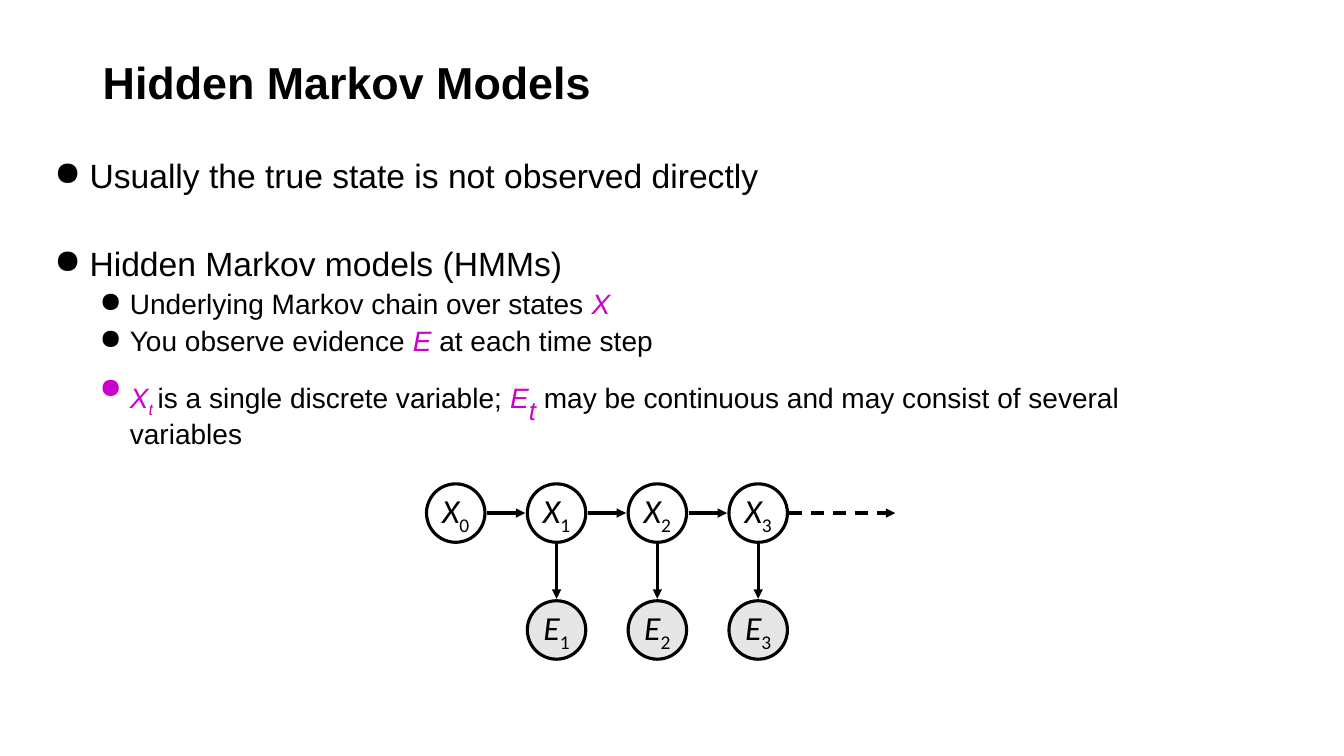
from lxml.etree import SubElement
from pptx import Presentation
from pptx.dml.color import RGBColor
from pptx.enum.dml import MSO_LINE
from pptx.enum.shapes import MSO_CONNECTOR, MSO_SHAPE
from pptx.enum.text import MSO_ANCHOR, PP_ALIGN
from pptx.oxml.ns import qn
from pptx.util import Inches, Pt

BLACK = RGBColor(0x00, 0x00, 0x00)
WHITE = RGBColor(0xFF, 0xFF, 0xFF)
GRAY = RGBColor(0xE7, 0xE6, 0xE6)
MAGENTA = RGBColor(0xCC, 0x00, 0xCC)

NODE_SIZE = 0.58
COLUMN_STEP = 1.0
ROW_STEP = 1.16
ARROW_GAP = 0.02

BULLETS = [
    (0, 0, [("Usually the true state is not observed directly", "plain")]),
    (0, 37, [("Hidden Markov models (HMMs)", "plain")]),
    (1, 5, [("Underlying Markov chain over states ", "plain"), ("X", "symbol")]),
    (1, 5, [("You observe evidence ", "plain"), ("E", "symbol"),
            (" at each time step", "plain")]),
    (1, 5, [("X", "symbol"), ("t ", "subscript"),
            ("is a single discrete variable; ", "plain"), ("E", "symbol"),
            ("t", "large subscript"), (" ", "symbol"),
            ("may be continuous and may consist of several variables", "plain")]),
]
LEVELS = [(24, 0.35, 0.35), (20, 0.75, 0.3)]


def set_font(font, name, size, color=BLACK):
    """Give a font its name, size and colour."""
    font.name = name
    font.size = Pt(size)
    font.color.rgb = color


def lower(span):
    """Turn a run into a subscript."""
    span._r.get_or_add_rPr().set("baseline", "-25000")


def add_text_frame(page, left, top, width, height):
    """Add a wrapping text box and return its text frame."""
    box = page.shapes.add_textbox(Inches(left), Inches(top), Inches(width), Inches(height))
    box.text_frame.word_wrap = True
    return box.text_frame


def add_title(page, left, top, width, height):
    """Add the slide title, centred vertically in its box."""
    frame = add_text_frame(page, left, top, width, height)
    frame.vertical_anchor = MSO_ANCHOR.MIDDLE
    para = frame.paragraphs[0]
    para.text = "Hidden Markov Models"
    para.line_spacing = 0.9
    set_font(para.font, "Arial", 32)
    para.font.bold = True


def add_bullets(page, left, top, width, height):
    """Add the two-level bullet list."""
    frame = add_text_frame(page, left, top, width, height)
    for index, (level, space, spans) in enumerate(BULLETS):
        para = frame.paragraphs[0] if index == 0 else frame.add_paragraph()
        size, margin, hanging = LEVELS[level]
        para.level = level
        para.line_spacing = 0.9
        para.space_before = Pt(space)
        properties = para._p.get_or_add_pPr()
        properties.set("marL", str(Inches(margin)))
        properties.set("indent", str(-Inches(hanging)))
        SubElement(properties, qn("a:buChar")).set("char", "●")
        set_font(para.font, "Arial", size)
        for text, style in spans:
            span = para.add_run()
            span.text = text
            if style != "plain":
                span.font.italic = True
                span.font.color.rgb = MAGENTA
            if "subscript" in style:
                lower(span)
            if "large" in style:
                span.font.size = Pt(32)


def add_node(page, left, top, letter, number, fill):
    """Add one circular node labelled with a letter and its time step."""
    node = page.shapes.add_shape(MSO_SHAPE.OVAL, Inches(left), Inches(top),
                                 Inches(NODE_SIZE), Inches(NODE_SIZE))
    node.shadow.inherit = False
    node.fill.solid()
    node.fill.fore_color.rgb = fill
    node.line.color.rgb = BLACK
    node.line.width = Pt(2.25)
    frame = node.text_frame
    frame.word_wrap = False
    frame.vertical_anchor = MSO_ANCHOR.MIDDLE
    para = frame.paragraphs[0]
    para.alignment = PP_ALIGN.CENTER
    set_font(para.font, "Calibri", 24)
    symbol, step = para.add_run(), para.add_run()
    symbol.text, step.text = letter, str(number)
    symbol.font.italic = True
    lower(step)


def add_arrow(page, start, end, dashed=False):
    """Add an arrow between two points given in inches."""
    arrow = page.shapes.add_connector(MSO_CONNECTOR.STRAIGHT, *map(Inches, start + end))
    arrow.line.color.rgb = BLACK
    arrow.line.width = Pt(2.25)
    if dashed:
        arrow.line.dash_style = MSO_LINE.DASH
    SubElement(arrow.line._get_or_add_ln(), qn("a:tailEnd")).set("type", "triangle")
    SubElement(arrow._element.spPr, qn("a:effectLst"))


def add_chain(page, left, top, states):
    """Add the state chain with an evidence node under each later state."""
    middle = top + NODE_SIZE / 2
    evidence_top = top + ROW_STEP
    for number in range(states):
        x = left + number * COLUMN_STEP
        center = x + NODE_SIZE / 2
        right = x + NODE_SIZE + ARROW_GAP
        last = number == states - 1
        reach = 1.05 if last else COLUMN_STEP - NODE_SIZE - 2 * ARROW_GAP
        add_node(page, x, top, "X", number, WHITE)
        add_arrow(page, (right, middle), (right + reach, middle), dashed=last)
        if number > 0:
            add_node(page, x, evidence_top, "E", number, GRAY)
            add_arrow(page, (center, top + NODE_SIZE + ARROW_GAP),
                      (center, evidence_top - ARROW_GAP))


def main():
    """Build the slide and save it."""
    deck = Presentation()
    deck.slide_width = Inches(13.33)
    deck.slide_height = Inches(7.5)
    page = deck.slides.add_slide(deck.slide_layouts[6])
    add_title(page, 0.92, 0.4, 11.5, 0.89)
    add_bullets(page, 0.44, 1.53, 11.4, 5.17)
    add_chain(page, 4.23, 4.8, states=4)
    deck.save("out.pptx")


if __name__ == "__main__":
    main()
